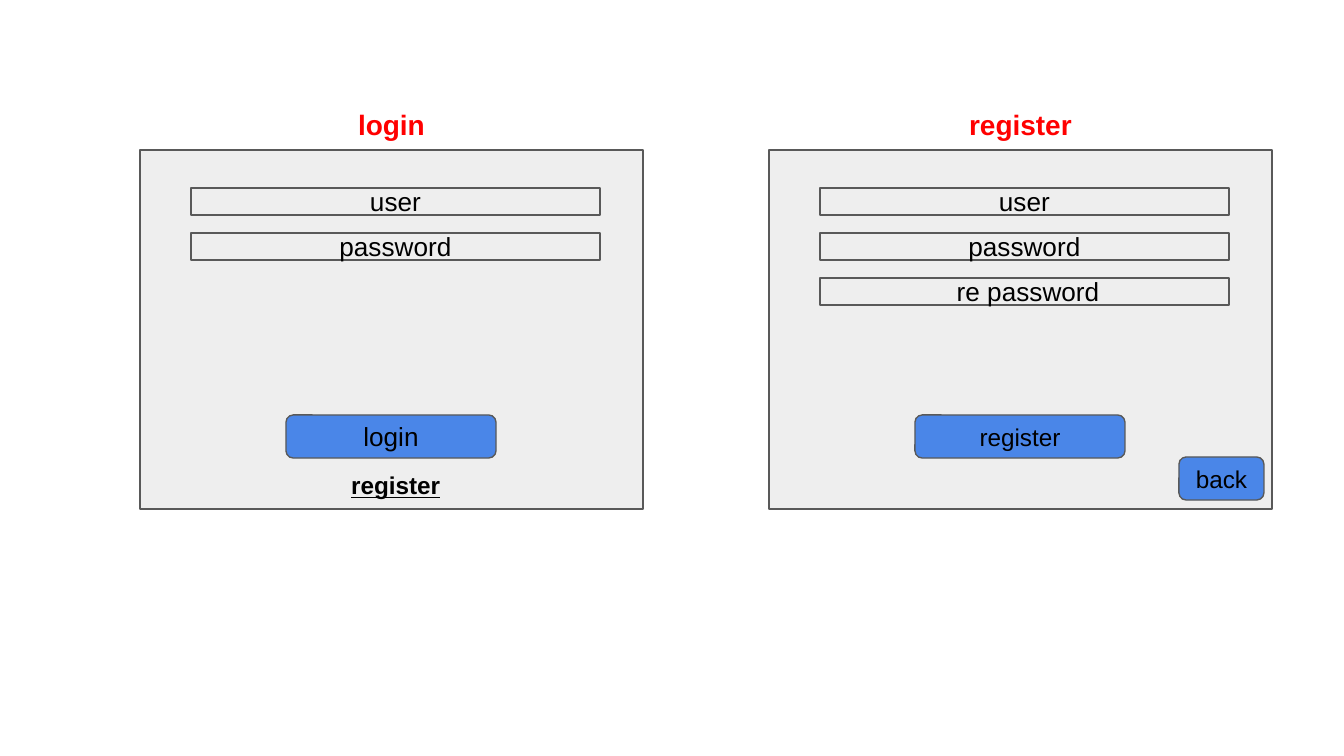
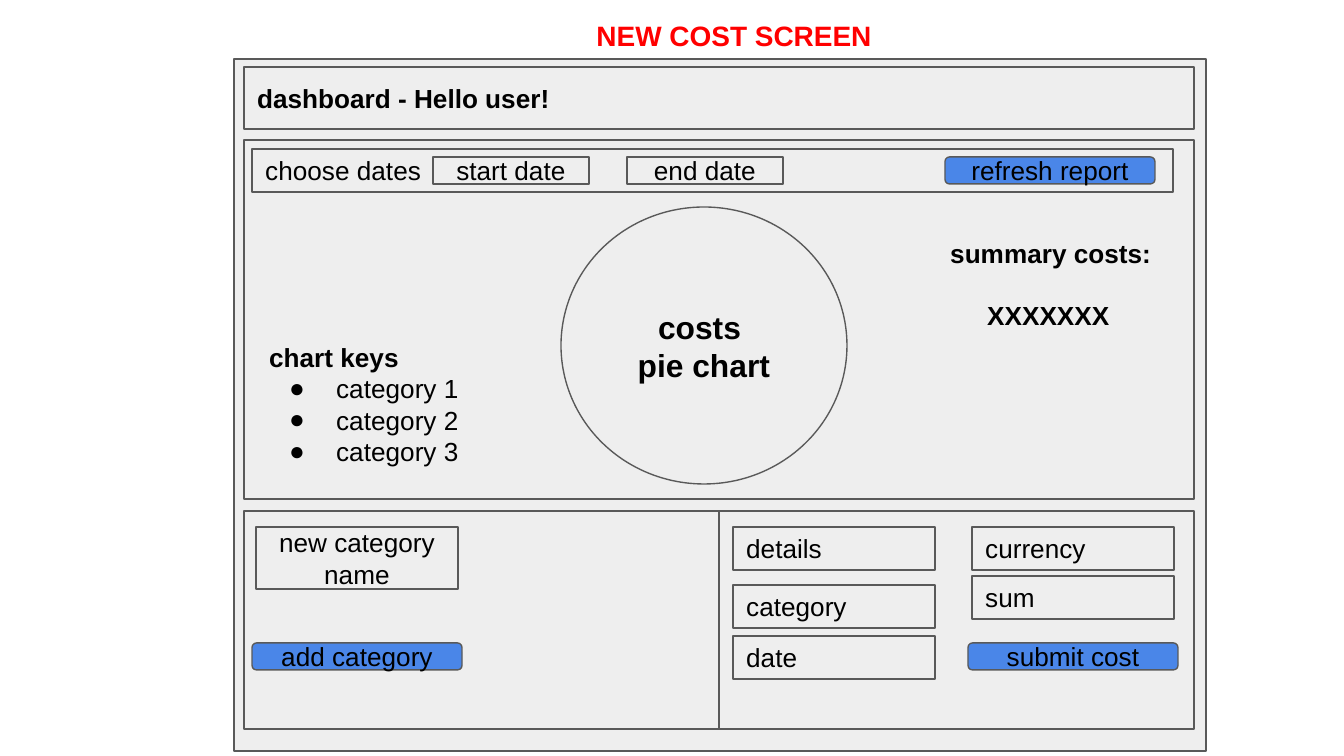
from lxml import etree
from pptx import Presentation
from pptx.dml.color import RGBColor
from pptx.enum.shapes import MSO_CONNECTOR, MSO_SHAPE
from pptx.enum.text import MSO_ANCHOR, PP_ALIGN
from pptx.oxml.ns import qn
from pptx.util import Pt

RECT, ROUNDED, OVAL = MSO_SHAPE.RECTANGLE, MSO_SHAPE.ROUNDED_RECTANGLE, MSO_SHAPE.OVAL
LEFT, CENTER = PP_ALIGN.LEFT, PP_ALIGN.CENTER
TOP, MIDDLE = MSO_ANCHOR.TOP, MSO_ANCHOR.MIDDLE
STRAIGHT = MSO_CONNECTOR.STRAIGHT

PANEL = RGBColor(0xEE, 0xEE, 0xEE)
OUTLINE = RGBColor(0x59, 0x59, 0x59)
BUTTON = RGBColor(0x4A, 0x86, 0xE8)
TITLE = RGBColor(0xFF, 0x00, 0x00)
INK = RGBColor(0x00, 0x00, 0x00)

FONT = "Arial"
LINE_WIDTH = Pt(0.75)
SCALE = 914400 / 134.4
INSET = 13.44
ROW_H, BAR_H = 27, 43
BUTTON_W = 210


def px(n):
    """Turn pixels into EMU."""
    return round(n * SCALE)


def within(box, x, y, w, h):
    """Give a box placed relative to the top left corner of another."""
    return box[0] + x, box[1] + y, w, h


def write(sp, lines, size, color=INK, bold=False, align=CENTER, anchor=MIDDLE):
    """Fill a shape with one paragraph per line."""
    tf = sp.text_frame
    tf.text = "\n".join(lines)
    tf.word_wrap = True
    tf.vertical_anchor = anchor
    tf.margin_left = tf.margin_right = tf.margin_top = tf.margin_bottom = px(INSET)
    for p in tf.paragraphs:
        p.alignment = align
        for r in p.runs:
            r.font.name = FONT
            r.font.size = Pt(size)
            r.font.bold = bold
            r.font.color.rgb = color
    return tf


def add_box(s, box, *lines, kind=RECT, fill=PANEL, size=14, bold=False, align=CENTER):
    """Draw an outlined shape, with text if any is given."""
    sp = s.shapes.add_shape(kind, *map(px, box))
    sp.shadow.inherit = False
    sp.fill.solid()
    sp.fill.fore_color.rgb = fill
    sp.line.color.rgb = OUTLINE
    sp.line.width = LINE_WIDTH
    if lines:
        write(sp, lines, size, bold=bold, align=align)


def add_button(s, box, label, size=14):
    """Draw a blue rounded button."""
    add_box(s, box, label, kind=ROUNDED, fill=BUTTON, size=size)


def add_text(s, box, *lines, size=14, color=INK, align=LEFT):
    """Add a bold text box and return its text frame."""
    sp = s.shapes.add_textbox(*map(px, box))
    return write(sp, lines, size, color, True, align, TOP)


def add_title(s, center, top, title):
    """Add a red screen title centred on a given x."""
    w = 696
    add_text(s, (center - w / 2, top, w, BAR_H), title, size=15, color=TITLE, align=CENTER)


def add_divider(s, x, top, bottom):
    """Draw a vertical line without shadow."""
    line = s.shapes.add_connector(STRAIGHT, px(x), px(top), px(x), px(bottom))
    line.line.color.rgb = OUTLINE
    line.line.width = LINE_WIDTH
    etree.SubElement(line._element.spPr, qn("a:effectLst"))


def add_bullet(p):
    """Give a paragraph a round bullet and a hanging indent."""
    pPr = p._p.get_or_add_pPr()
    pPr.set("marL", str(px(67)))
    pPr.set("indent", str(-px(47)))
    clr = etree.SubElement(pPr, qn("a:buClr"))
    etree.SubElement(clr, qn("a:srgbClr")).set("val", str(INK))
    etree.SubElement(pPr, qn("a:buFont")).set("typeface", FONT)
    etree.SubElement(pPr, qn("a:buChar")).set("char", "●")


def account_form(s, box, title, fields, action_size):
    """Draw a titled form with stacked fields and a main button."""
    add_box(s, box)
    add_title(s, box[0] + box[2] / 2, box[1] - 56, title)
    for i, field in enumerate(fields):
        add_box(s, within(box, 51, 38 + 45 * i, 409, ROW_H), field)
    add_button(s, within(box, 146, 265, BUTTON_W, BAR_H), title, action_size)


def account_slide(s):
    """Build the login and register forms side by side."""
    login, register = [(x, 150, 503, 359) for x in (140, 769)]
    account_form(s, login, "login", ["user", "password"], 14)
    tf = add_text(s, within(login, 198, 307, 150, BAR_H), "register", size=13)
    tf.paragraphs[0].runs[0].font.underline = True
    account_form(s, register, "register", ["user", "password", " re password"], 13)
    add_button(s, within(register, 410, 307, 85, BAR_H), "back", 13)


def report_region(s, box):
    """Draw the date filter, the pie chart, its keys and the summary."""
    add_box(s, box)
    add_box(s, within(box, 8, 9, 921, BAR_H), "choose dates", align=LEFT)
    for x, label in ((189, "start date"), (383, "end date")):
        add_box(s, within(box, x, 17, 156, ROW_H), label)
    add_button(s, within(box, 701, 17, BUTTON_W, ROW_H), "refresh report")
    add_box(s, within(box, 317, 67, 286, 277), "costs ", "pie chart",
            kind=OVAL, size=17, bold=True)

    tf = add_text(s, within(box, 693, 84, 235, 112), "summary costs:", "XXXXXXX")
    total = tf.paragraphs[1]
    total.space_before = Pt(16.5)
    total._p.get_or_add_pPr().set("marL", str(px(37)))

    tf = add_text(s, within(box, 12, 188, 243, 155), "chart keys",
                  *[f"category {n}" for n in (1, 2, 3)])
    for p in tf.paragraphs[1:]:
        p.runs[0].font.bold = False
        add_bullet(p)


def entry_region(s, box):
    """Draw the new category form and the new cost form."""
    field_w = 202
    add_box(s, box)
    add_box(s, within(box, 12, 16, field_w, 62), "new category name")
    fields = ((489, 16, "details"), (489, 74, "category"), (489, 125, "date"),
              (728, 16, "currency"), (728, 65, "sum"))
    for x, y, label in fields:
        add_box(s, within(box, x, y, field_w, BAR_H), label, align=LEFT)
    for x, label in ((8, "add category"), (724, "submit cost")):
        add_button(s, within(box, x, 132, BUTTON_W, ROW_H), label)
    add_divider(s, box[0] + box[2] / 2, box[1], box[1] + box[3])


def cost_slide(s):
    """Build the dashboard screen from its three regions."""
    screen = (234, 59, 972, 692)
    add_box(s, screen)
    add_title(s, 738, 5, "NEW COST SCREEN ")
    add_box(s, within(screen, 10, 8, 950, 62), "dashboard - Hello user!",
            bold=True, align=LEFT)
    report_region(s, within(screen, 10, 81, 950, 359))
    entry_region(s, within(screen, 10, 452, 950, 218))


prs = Presentation()
prs.slide_width, prs.slide_height = px(1344), px(756)
for build in (account_slide, cost_slide):
    build(prs.slides.add_slide(prs.slide_layouts[6]))
prs.save("out.pptx")
